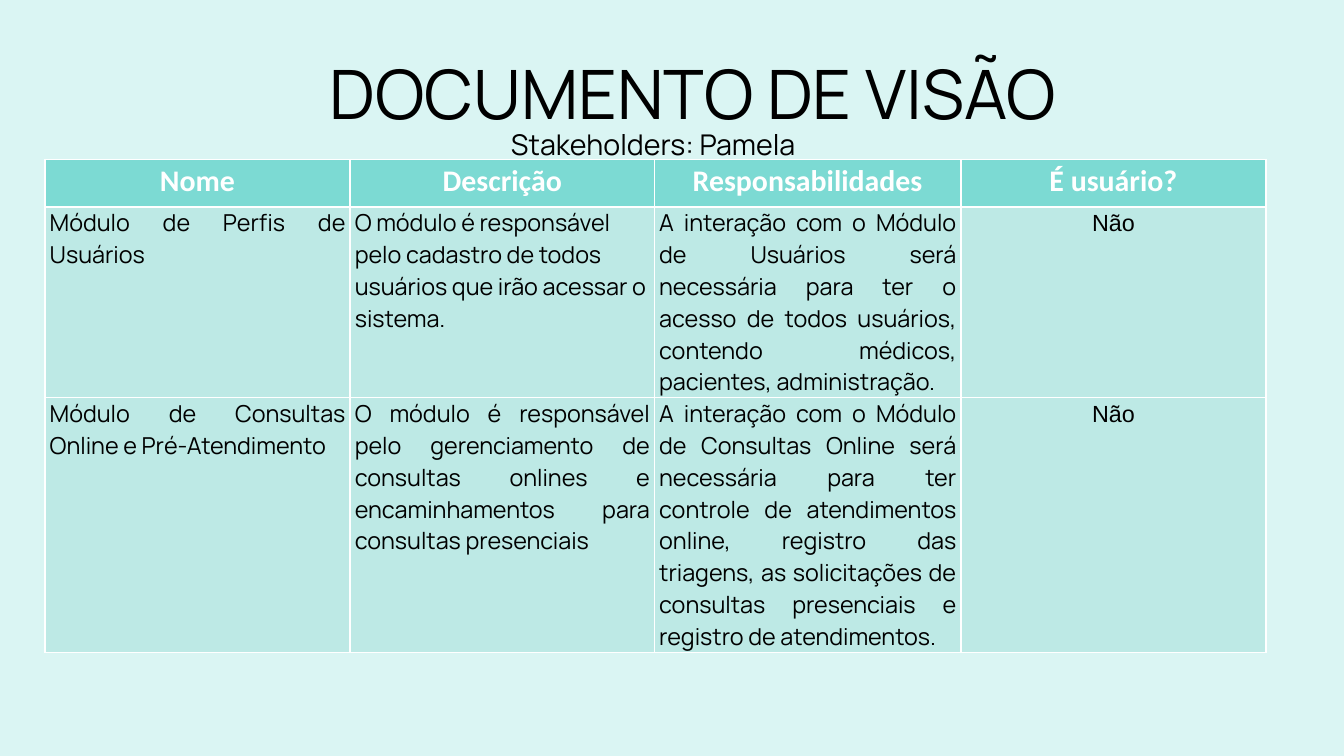
"""Builds the vision document slide with its stakeholder table."""
from lxml import etree
from pptx import Presentation
from pptx.dml.color import RGBColor
from pptx.enum.text import MSO_ANCHOR, MSO_AUTO_SIZE, PP_ALIGN
from pptx.oxml.ns import qn
from pptx.util import Inches, Pt

CENTER, JUSTIFY, LEFT = PP_ALIGN.CENTER, PP_ALIGN.JUSTIFY, PP_ALIGN.LEFT
TOP, NO_FIT = MSO_ANCHOR.TOP, MSO_AUTO_SIZE.NONE

BLACK = RGBColor(0x00, 0x00, 0x00)
WHITE = RGBColor(0xFF, 0xFF, 0xFF)
MINT = RGBColor(0xDA, 0xF5, 0xF3)
TEAL = RGBColor(0x7C, 0xDA, 0xD3)
AQUA = RGBColor(0xBD, 0xE9, 0xE5)

HEADERS = ["Nome", "Descrição", "Responsabilidades", "É usuário?"]
MODULES = [
    ["Módulo de Perfis de Usuários",
     "O módulo é responsável pelo cadastro de todos usuários que irão acessar o sistema.",
     "A interação com o Módulo de Usuários será necessária para ter o acesso de todos "
     "usuários, contendo médicos, pacientes, administração.",
     "Não"],
    ["Módulo de Consultas Online e Pré-Atendimento",
     "O módulo é responsável pelo gerenciamento de consultas onlines e encaminhamentos "
     "para consultas presenciais",
     "A interação com o Módulo de Consultas Online será necessária para ter controle de "
     "atendimentos online, registro das triagens, as solicitações de consultas "
     "presenciais e registro de atendimentos.",
     "Não"],
]
ALIGNMENTS = [[JUSTIFY, LEFT, JUSTIFY, CENTER], [JUSTIFY, JUSTIFY, JUSTIFY, CENTER]]
COLUMN_WIDTHS = [4.54, 4.53, 4.56, 4.54]
ROW_HEIGHTS = [0.71, 2.46, 2.46]


class SlideBuilder:
    """Holds the style and the current slide."""

    heading_font, body_font, answer_font = "Calibri", "Manrope", "Arial"

    def __init__(self, page):
        self.page = page
        page.background.fill.solid()
        page.background.fill.fore_color.rgb = MINT

    def paragraph(self, frame, text, size, font, color, align, bold=False):
        """Put one formatted paragraph in a text frame."""
        frame.text = text
        para = frame.paragraphs[0]
        para.alignment = align
        para.space_before = Pt(0)
        para.font.size, para.font.name = Pt(size), font
        para.font.bold, para.font.color.rgb = bold, color
        return para

    def placeholder(self, box, place, text, size, spacing):
        """Move and fill a template placeholder."""
        box.left, box.top, box.width, box.height = map(Inches, place)
        frame = box.text_frame
        frame.margin_left = frame.margin_right = frame.margin_top = frame.margin_bottom = 0
        frame.word_wrap, frame.auto_size = True, NO_FIT
        frame.vertical_anchor = TOP
        para = self.paragraph(frame, text, size, self.body_font, BLACK, CENTER)
        para.line_spacing = spacing

    def borders(self, cell):
        """Draw a thin white line on all four sides of a cell."""
        properties = cell._tc.get_or_add_tcPr()
        for position, side in enumerate(("a:lnL", "a:lnR", "a:lnT", "a:lnB")):
            line = etree.Element(qn(side), w=str(Pt(1.5)))
            fill = etree.SubElement(line, qn("a:solidFill"))
            etree.SubElement(fill, qn("a:srgbClr"), val=str(WHITE))
            properties.insert(position, line)

    def cell(self, cell, text, size, font, color, align, fill, margins, bold=False):
        """Fill and format one table cell."""
        cell.margin_left = cell.margin_right = Inches(margins[0])
        cell.margin_top = cell.margin_bottom = Inches(margins[1])
        cell.fill.solid()
        cell.fill.fore_color.rgb = fill
        self.borders(cell)
        self.paragraph(cell.text_frame, text, size, font, color, align, bold)

    def table(self, left, top):
        """Add the stakeholder table."""
        table = self.page.shapes.add_table(
            len(ROW_HEIGHTS), len(COLUMN_WIDTHS), Inches(left), Inches(top),
            Inches(sum(COLUMN_WIDTHS)), Inches(sum(ROW_HEIGHTS))).table
        for column, width in zip(table.columns, COLUMN_WIDTHS):
            column.width = Inches(width)
        for row, height in zip(table.rows, ROW_HEIGHTS):
            row.height = Inches(height)
        for column, text in enumerate(HEADERS):
            self.cell(table.cell(0, column), text, 32, self.heading_font, WHITE,
                      CENTER, TEAL, (0.1, 0.05), True)
        for row, (texts, alignments) in enumerate(zip(MODULES, ALIGNMENTS), 1):
            for column, (text, align) in enumerate(zip(texts, alignments)):
                answer = column == len(HEADERS) - 1
                font = self.answer_font if answer else self.body_font
                margins = (0.1, 0.05) if answer else (0.07, 0)
                self.cell(table.cell(row, column), text, 25, font, BLACK,
                          align, AQUA, margins)


def main():
    deck = Presentation()
    deck.slide_width, deck.slide_height = Inches(20), Inches(11.25)
    page = deck.slides.add_slide(deck.slide_layouts[0])
    builder = SlideBuilder(page)
    builder.placeholder(page.shapes.title, (1.13, 0.52, 18.35, 1.22),
                        "DOCUMENTO DE VISÃO", 73, 1.2)
    builder.placeholder(page.placeholders[1], (3.3, 1.68, 12.84, 0.59),
                        "Stakeholders: Pamela", 30.6, 1.4)
    builder.table(0.67, 2.37)
    deck.save("out.pptx")


if __name__ == "__main__":
    main()
